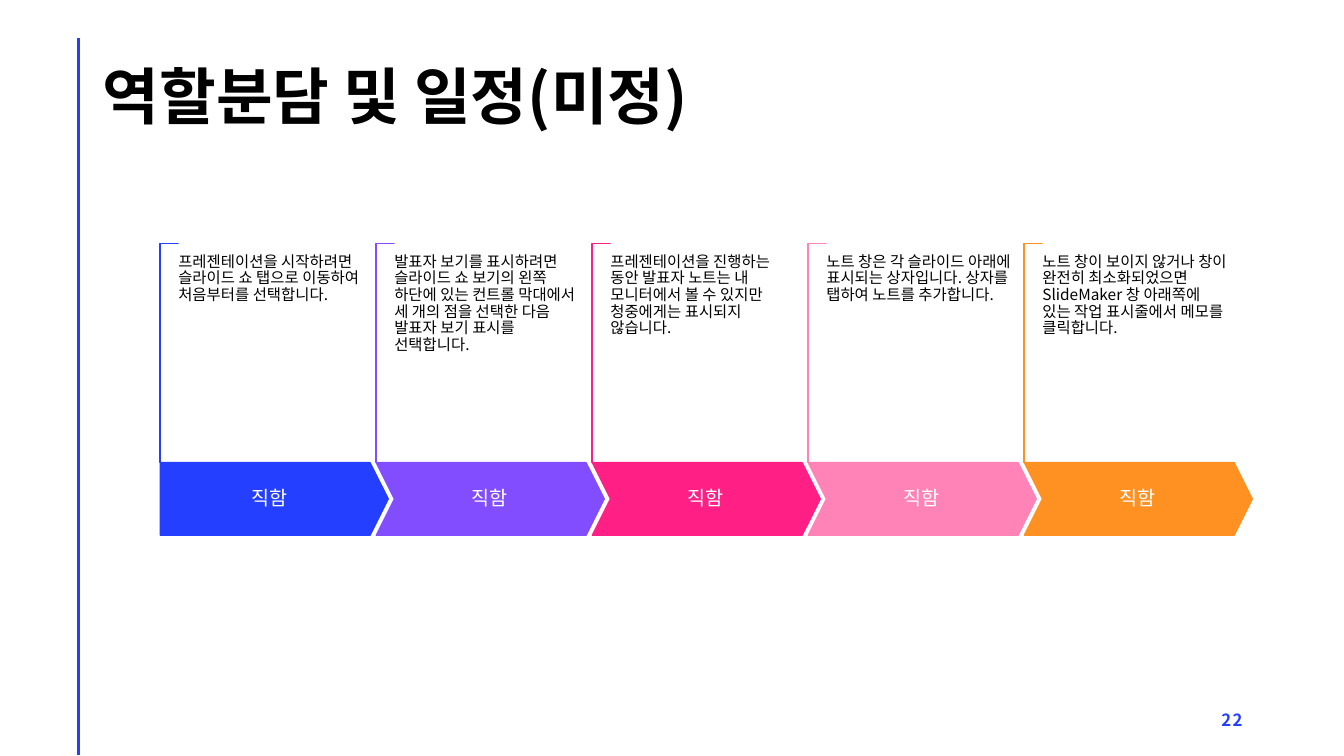
from lxml import etree
from pptx import Presentation
from pptx import util as u
from pptx.dml.color import RGBColor
from pptx.enum import shapes, text
from pptx.oxml import ns

COLORS = {
    "blue": "243FFF", "violet": "814DFF", "magenta": "FF1F85",
    "pink": "FF83B6", "orange": "FF9022", "white": "FFFFFF", "black": "000000",
}
FONT = "Noto Sans CJK KR"
STEP_COLUMNS = 12  # grid columns from one step to the next
COLUMN = (10.16 - 1.59) / 4 / STEP_COLUMNS
ROW = 0.18
GRID_LEFT = 1.59  # column 0 is where the first step begins

STEPS = [
    ("blue", "프레젠테이션을 시작하려면 슬라이드 쇼 탭으로 이동하여 처음부터를 선택합니다."),
    ("violet", "발표자 보기를 표시하려면 슬라이드 쇼 보기의 왼쪽 하단에 있는 컨트롤 막대에서 "
               "세 개의 점을 선택한 다음 발표자 보기 표시를 선택합니다."),
    ("magenta", "프레젠테이션을 진행하는 동안 발표자 노트는 내 모니터에서 볼 수 있지만 "
                "청중에게는 표시되지 않습니다."),
    ("pink", "노트 창은 각 슬라이드 아래에 표시되는 상자입니다. 상자를 탭하여 노트를 추가합니다."),
    ("orange", "노트 창이 보이지 않거나 창이 완전히 최소화되었으면 SlideMaker 창 아래쪽에 "
               "있는 작업 표시줄에서 메모를 클릭합니다."),
]


def rgb(name):
    return RGBColor.from_string(COLORS[name])


def apply(target, values):
    for name, value in values.items():
        setattr(target, name, value)


class StepPage:
    def __init__(self, deck):
        self.page = deck.slides.add_slide(deck.slide_layouts[6])

    def place(self, column, row, columns, rows):
        """Turn a grid area into left, top, width and height."""
        return (u.Inches(GRID_LEFT + column * COLUMN), u.Inches(row * ROW),
                u.Inches(columns * COLUMN), u.Inches(rows * ROW))

    def shape(self, kind, area, fill, line, adjustments, rotation=0):
        shape = self.page.shapes.add_shape(kind, *self.place(*area))
        shape.shadow.inherit = False
        shape.rotation = rotation
        for index, value in enumerate(adjustments):
            shape.adjustments[index] = value
        shape.fill.solid()
        shape.fill.fore_color.rgb = rgb(fill)
        shape.line.color.rgb = rgb(line)
        shape.line.width = u.Pt(1)

    def line(self, column, top, bottom, color, width):
        left, begin, _, length = self.place(column, top, 0, bottom - top)
        line = self.page.shapes.add_connector(
            shapes.MSO_CONNECTOR.STRAIGHT, left, begin, left, begin + length)
        line.line.color.rgb = rgb(color)
        line.line.width = u.Pt(width)
        etree.SubElement(line._element.spPr, ns.qn("a:effectLst"))

    def text(self, words, area, size, color, bold=False, align="LEFT", anchor="MIDDLE",
             insets=(0.1, 0.05), spacing=0.9, tracking=0):
        box = self.page.shapes.add_textbox(*self.place(*area))
        side, end = map(u.Inches, insets)
        apply(box.text_frame, {
            "word_wrap": True, "vertical_anchor": text.MSO_ANCHOR[anchor],
            "margin_left": side, "margin_right": side,
            "margin_top": end, "margin_bottom": end,
        })
        para = box.text_frame.paragraphs[0]
        apply(para, {"alignment": text.PP_ALIGN[align], "line_spacing": spacing})
        span = para.add_run()
        span.text = words
        apply(span.font, {"size": u.Pt(size), "bold": bold, "name": FONT})
        span.font.color.rgb = rgb(color)
        properties = span._r.get_or_add_rPr()
        etree.SubElement(properties, ns.qn("a:ea"), typeface=FONT)
        if tracking:
            properties.set("spc", str(tracking * 100))

    def step(self, index, color, description):
        """Draw a bracket, an arrow with its label, and the description."""
        start = index * STEP_COLUMNS
        first = index == 0
        # The bracket is laid out flat, then turned about its centre.
        self.shape(shapes.MSO_SHAPE.CORNER, (start - 5.6, 18.95, 12.15, 1),
                   "white", color, (0.01, 0.01), rotation=90)
        arrow = shapes.MSO_SHAPE.PENTAGON if first else shapes.MSO_SHAPE.CHEVRON
        self.shape(arrow, (start, 25.5, 12.66, 4), color, color, (0.25,))
        label = (start, 25.5, 12.15, 4) if first else (start + 1, 25.5, 10.6, 4)
        self.text("직함", label, 14, "white", align="CENTER", insets=(0.1, 0.19))
        self.text(description, (start + 1, 14, 10.25, 8.6), 11, "black",
                  anchor="TOP", insets=(0, 0))


def main():
    deck = Presentation()
    apply(deck, {"slide_width": u.Inches(13.33), "slide_height": u.Inches(7.5)})
    page = StepPage(deck)
    page.line(-4.54, 2.1, 41.6, "blue", 2)
    page.text("22", (43.87, 38.6, 16.8, 2.2), 12, "blue", bold=True,
              align="RIGHT", spacing=1.0, tracking=1)
    for index, (color, description) in enumerate(STEPS):
        page.step(index, color, description)
    page.text("역할분담 및 일정(미정)", (-3.75, 2.28, 45.9, 6.44), 44, "black", bold=True)
    deck.save("out.pptx")


if __name__ == "__main__":
    main()
